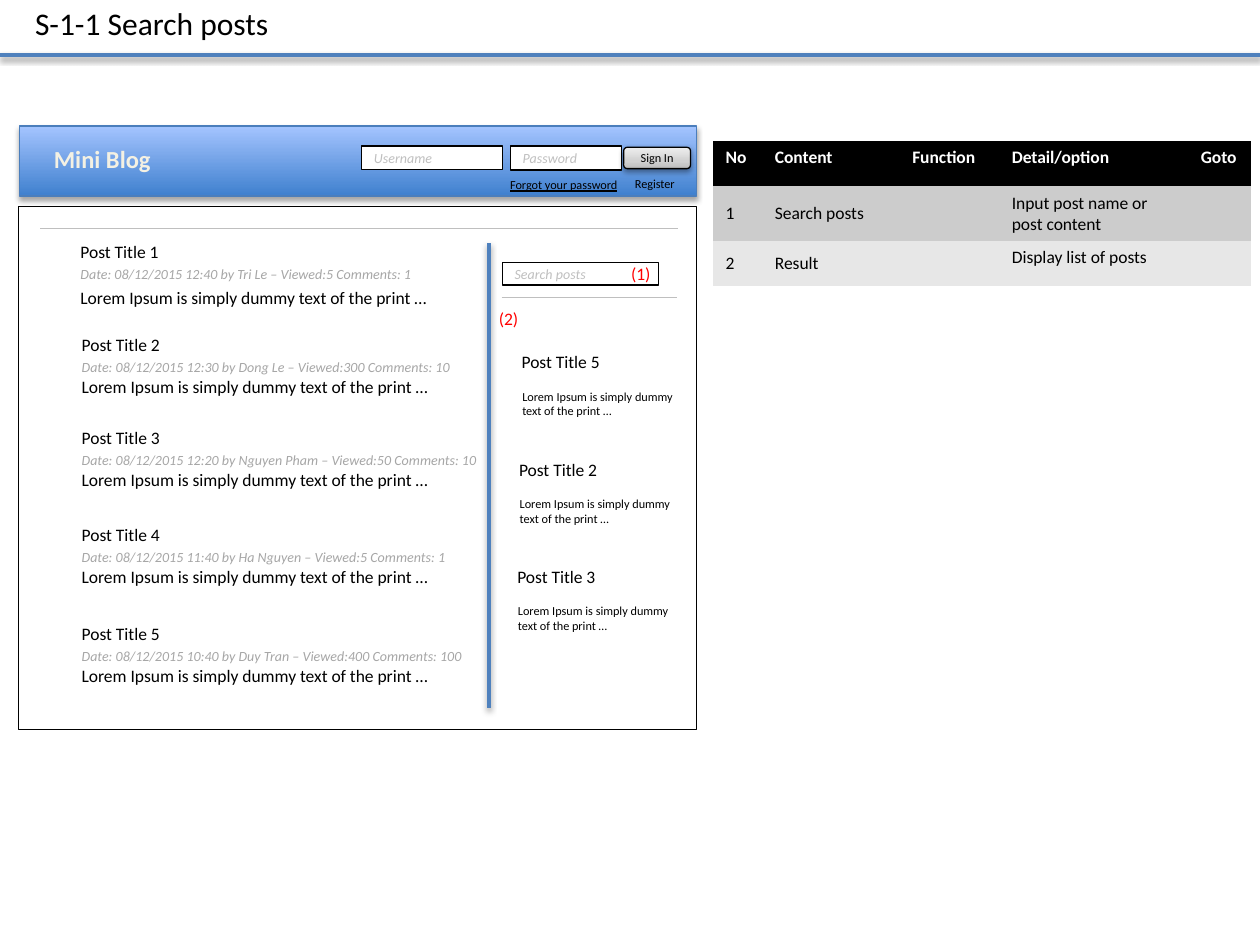
"""Build the search posts screen slide."""
from copy import deepcopy
from lxml.etree import SubElement as Sub
from pptx import Presentation
from pptx.dml.color import RGBColor
from pptx.enum.shapes import MSO_CONNECTOR as Link, MSO_SHAPE as Kind
from pptx.enum.text import MSO_ANCHOR as Anchor, MSO_AUTO_SIZE as Fit, PP_ALIGN as Align
from pptx.oxml.ns import qn
from pptx.util import Pt

BLACK, WHITE = RGBColor(0, 0, 0), RGBColor(255, 255, 255)
BLUE, EDGE = RGBColor(0x4F, 0x81, 0xBD), RGBColor(0x4B, 0x7E, 0xBC)
DEEP, SKY = RGBColor(0x3F, 0x80, 0xCE), RGBColor(0xA4, 0xC4, 0xFF)
CREAM, NAVY = RGBColor(0xF4, 0xF1, 0xE3), RGBColor(0x05, 0x46, 0x97)
GRAY, PALE = RGBColor(0xA6, 0xA6, 0xA6), RGBColor(0xBF, 0xBF, 0xBF)
STEEL, MIST, FOG = RGBColor(0xBD, 0xBD, 0xBD), RGBColor(0xD1, 0xD1, 0xD1), RGBColor(0xEE, 0xEE, 0xEE)
BAND, LIGHT = RGBColor(0xCC, 0xCC, 0xCC), RGBColor(0xE7, 0xE7, 0xE7)
RED = RGBColor(255, 0, 0)

LOREM = "Lorem Ipsum is simply dummy text of the print …"
POSTS = [
    (38.9, 133.9, 26.6, 209, "12:40 by Tri Le – Viewed:5 Comments: 1"),
    (39.6, 187.2, 23.9, 230, "12:30 by Dong Le – Viewed:300 Comments: 10"),
    (39.6, 240.6, 23.9, 249, "12:20 by Nguyen Pham – Viewed:50 Comments: 10"),
    (39.6, 296, 23.9, 227.5, "11:40 by Ha Nguyen – Viewed:5 Comments: 1"),
    (39.6, 352.6, 23.9, 232.5, "10:40 by Duy Tran – Viewed:400 Comments: 100"),
]
HITS = [(291, "Post Title 5"), (289.5, "Post Title 2"), (288.5, "Post Title 3")]
FIELDS = [
    (206.6, 83.5, 80.6, 13.3, "Username"),
    (291.6, 83.5, 63.4, 13.7, "Password"),
    (287, 149.8, 89.3, 13, "Search posts"),
]
MARKS = [(353.5, 147, "(1)"), (278, 172.2, "(2)")]
COLS = [28.1, 78.5, 56.9, 108, 36]
ROWS = [
    (BLACK, ["No", "Content", "Function", "Detail/option", "Goto"]),
    (BAND, ["1", "Search posts", "", "Input post name or post content", ""]),
    (LIGHT, ["2", "Result", "", "Display list of posts", ""]),
]

deck = Presentation()
deck.slide_width, deck.slide_height = Pt(720), Pt(540)
slide = deck.slides.add_slide(deck.slide_layouts[6])
shapes = slide.shapes


def style(para, size, color=BLACK, bold=False, italic=False, under=False):
    for run in para.runs:
        font = run.font
        font.name, font.size, font.color.rgb = "Calibri", Pt(size), color
        font.bold, font.italic, font.underline = bold, italic, under


def effect(props, shade=None):
    node = props.find(qn("a:effectLst"))
    if node is None:
        node = Sub(props, qn("a:effectLst"))
    if shade:
        alpha, dist = shade
        outer = Sub(node, qn("a:outerShdw"), blurRad="40000", dist=str(Pt(dist)),
                    dir="5400000", rotWithShape="0")
        color = Sub(outer, qn("a:srgbClr"), val="000000")
        Sub(color, qn("a:alpha"), val=str(alpha * 1000))


def text(x, y, w, words, size=10, color=BLACK, align=None, wrap=False, lines=1, **look):
    box = shapes.add_textbox(Pt(x), Pt(y), Pt(w), Pt(7.2 + 1.22 * size * lines))
    frame = box.text_frame
    frame.word_wrap, frame.auto_size = wrap, Fit.SHAPE_TO_FIT_TEXT
    frame.text = words
    para = frame.paragraphs[0]
    para.alignment = align
    style(para, size, color, **look)
    return para


def line(x1, y1, x2, y2, color, width, shade=None):
    link = shapes.add_connector(Link.STRAIGHT, Pt(x1), Pt(y1), Pt(x2), Pt(y2))
    link.line.color.rgb, link.line.width = color, Pt(width)
    effect(link._element.spPr, shade)


def block(x, y, w, h, stops=None, kind=Kind.RECTANGLE, edge=BLACK, shade=None):
    shape = shapes.add_shape(kind, Pt(x), Pt(y), Pt(w), Pt(h))
    shape.shadow.inherit = False
    shape.line.color.rgb, shape.line.width = edge, Pt(0.75)
    fill = shape.fill
    if stops:
        fill.gradient()
        fill.gradient_angle = 90
        first = shape._element.spPr.find(".//" + qn("a:gs"))
        for _ in stops[2:]:
            first.addnext(deepcopy(first))
        for stop, (spot, color) in zip(fill.gradient_stops, stops):
            stop.position, stop.color.rgb = spot, color
    else:
        fill.solid()
        fill.fore_color.rgb = WHITE
    effect(shape._element.spPr, shade)
    return shape


def label(shape, words, align, *look, **more):
    frame = shape.text_frame
    frame.text, frame.vertical_anchor = words, Anchor.MIDDLE
    frame.paragraphs[0].alignment = align
    style(frame.paragraphs[0], *look, **more)


def grid(x, y):
    frame = shapes.add_table(len(ROWS), len(COLS), Pt(x), Pt(y), Pt(sum(COLS)), Pt(83))
    table = frame.table
    table.first_row = table.horz_banding = False
    table._tbl.tblPr.find(qn("a:tableStyleId")).text = "{2D5ABB26-0587-4C30-8999-92F81FD0307C}"
    for col, width in zip(table.columns, COLS):
        col.width = Pt(width)
    for r, (fill, words) in enumerate(ROWS):
        table.rows[r].height = Pt(30.8 if r == 1 else 25.9)
        for c, word in enumerate(words):
            cell = table.cell(r, c)
            cell.fill.solid()
            cell.fill.fore_color.rgb = fill
            cell.text = word
            para = cell.text_frame.paragraphs[0]
            style(para, 10, BLACK if r else WHITE, bold=not r)
            if not word:
                Sub(para._p, qn("a:endParaRPr"), sz="1000")
            if r and c < 2:
                cell.vertical_anchor = Anchor.MIDDLE


SOFT = (38, 1.6)
line(0, 31.5, 720, 31.5, BLUE, 2, SOFT)
text(13, -1.4, 149, "S-1-1 Search posts", 18)
block(10.8, 118.1, 387.2, 298.8)
block(11.2, 72, 386.8, 40.1, [(0, DEEP), (1, SKY)], edge=EDGE, shade=(35, 1.8))
line(23, 130.3, 387.4, 130.3, PALE, 0.25)
grid(407.5, 80.6)

brand = text(23.2, 78.5, 70.5, "Mini Blog", 14, CREAM, Align.CENTER, bold=True)
trim = brand.runs[0].font._element.makeelement(qn("a:ln"), w=str(Pt(1)))
Sub(Sub(trim, qn("a:solidFill")), qn("a:srgbClr"), val=str(NAVY))
brand.runs[0].font._element.insert(0, trim)

for num, (x, y, drop, width, meta) in enumerate(POSTS, 1):
    text(x, y, 60, f"Post Title {num}")
    text(x, y + 14.1, width, "Date: 08/12/2015 " + meta, 8, GRAY, italic=True)
    text(x, y + drop, 252, LOREM, align=Align.JUSTIFY, wrap=True)

line(279.4, 139, 279.4, 404.6, BLUE, 2, SOFT)
for x, y, w, h, hint in FIELDS:
    label(block(x, y, w, h), hint, Align.LEFT, 8, PALE, italic=True)

button = block(356.4, 84.2, 38.2, 12.2, [(0, STEEL), (0.35, MIST), (1, FOG)],
               Kind.ROUNDED_RECTANGLE, shade=SOFT)
label(button, "Sign In", Align.CENTER, 7)
text(284.4, 97.9, 77.8, "Forgot your password", 7, align=Align.JUSTIFY, wrap=True, under=True)
text(355.7, 97.2, 42.5, "Register", 7, align=Align.JUSTIFY, wrap=True)

line(286.6, 169.9, 386.6, 169.9, PALE, 0.25)
for num, (x, title) in enumerate(HITS):
    y = 197.3 + 61.3 * num
    text(x, y, 60, title)
    text(x + 0.4, y + 21.4, 100, LOREM, 7, align=Align.JUSTIFY, wrap=True, lines=2)
for x, y, mark in MARKS:
    text(x, y, 26, mark, color=RED)

deck.save("out.pptx")
